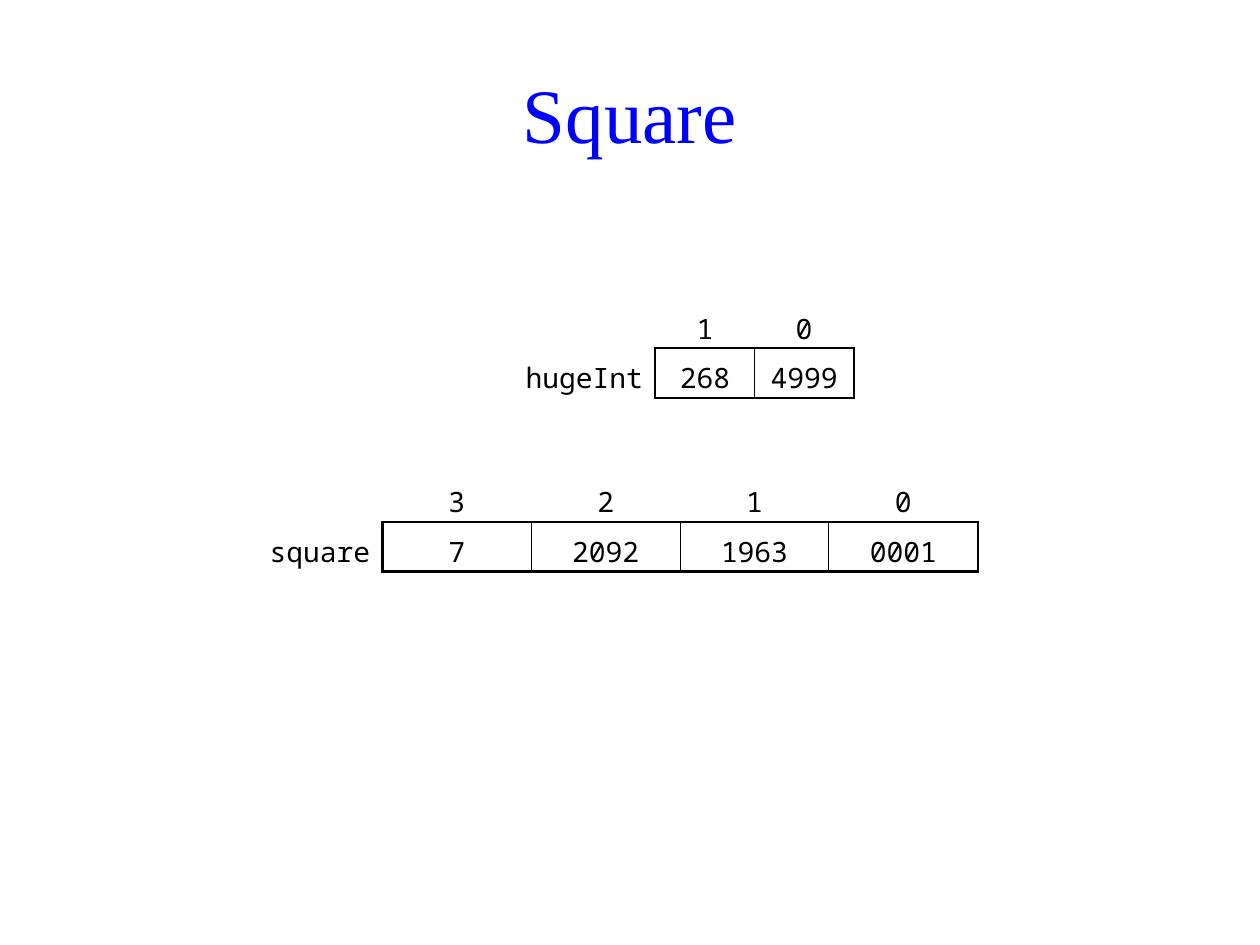
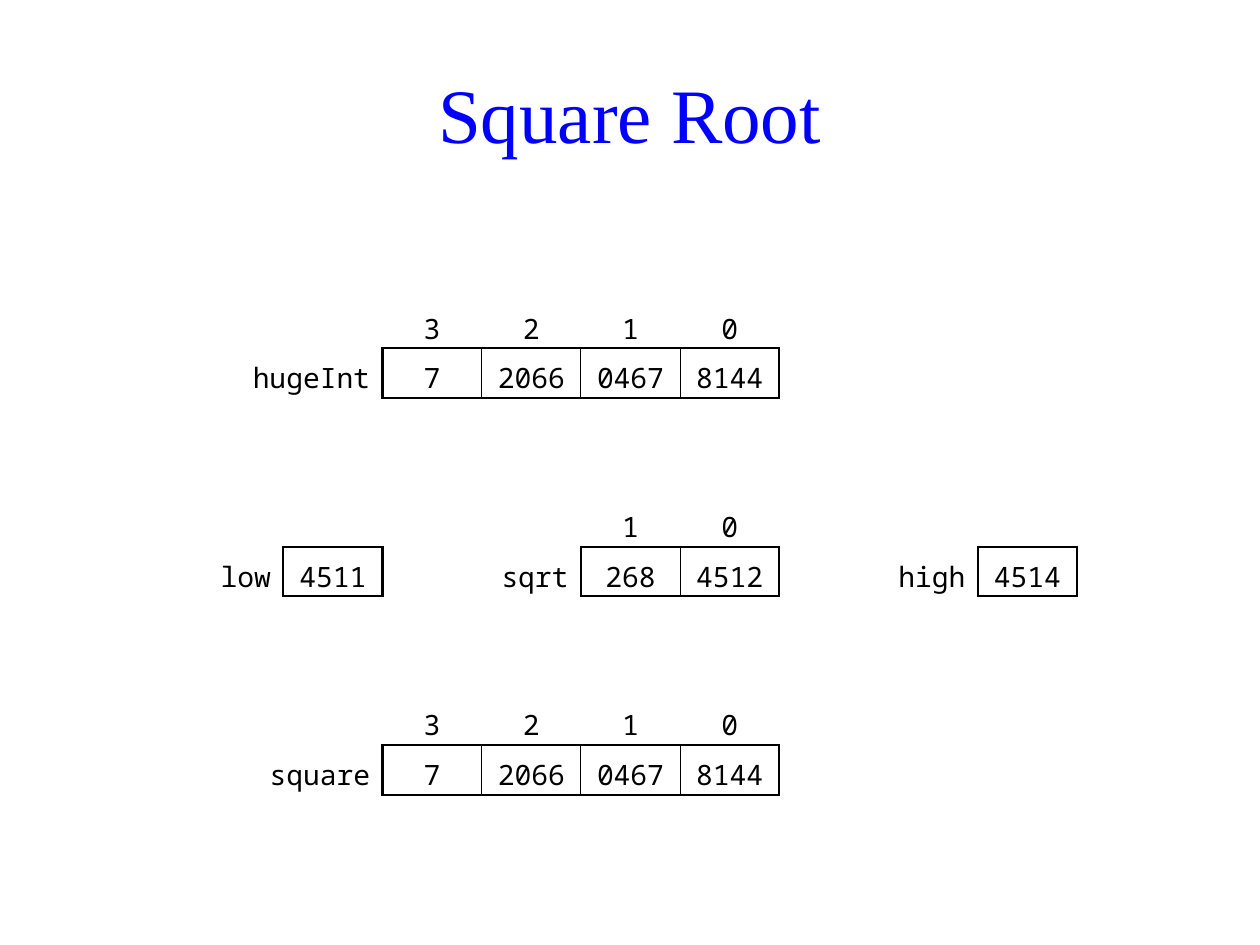
from lxml import etree
from pptx import Presentation
from pptx import util as u
from pptx.dml.color import RGBColor
from pptx.enum import text as t
from pptx.oxml import ns

PX = 3600
BLUE = RGBColor(0x00, 0x00, 0xFF)
BLACK = RGBColor(0x00, 0x00, 0x00)
TITLE_FONT = "Times New Roman"
CODE_FONT = "Noto Sans Mono"
NO_STYLE = "{2D5ABB26-0587-4C30-8999-92F81FD0307C}"

TITLE_BOX = (119, 102, 2301, 249)
ROW = 100
NARROW = 200
WIDE = 300
LABEL_GAP = 25
OUTER = 1.5
INNER = 0.75


def px(n):
    return u.Emu(n * PX)


def write(tf, text, font=CODE_FONT, size=16, color=BLACK,
          align=t.PP_ALIGN.CENTER, spacing=1.25):
    p = tf.paragraphs[0]
    p.alignment = align
    p.line_spacing = spacing
    r = p.add_run()
    r.text = text
    r.font.name = font
    r.font.size = u.Pt(size)
    r.font.color.rgb = color


def add_title(s, text, box=TITLE_BOX):
    tf = s.shapes.add_textbox(*map(px, box)).text_frame
    tf.word_wrap = True
    tf.vertical_anchor = t.MSO_ANCHOR.MIDDLE
    write(tf, text, font=TITLE_FONT, size=44, color=BLUE, spacing=1.0)


def set_borders(cell, **widths):
    tc_pr = cell._tc.get_or_add_tcPr()
    sides = [side for side in "LRTB" if side in widths]
    for i, side in enumerate(sides):
        ln = etree.Element(ns.qn(f"a:ln{side}"), w=str(u.Pt(widths[side])))
        fill = etree.SubElement(ln, ns.qn("a:solidFill"))
        etree.SubElement(fill, ns.qn("a:srgbClr"), val=str(BLACK))
        tc_pr.insert(i, ln)


def add_plain_table(s, x, y, rows, widths):
    frame = s.shapes.add_table(rows, len(widths), px(x), px(y),
                               px(sum(widths)), px(rows * ROW))
    table = frame.table
    table.first_row = table.horz_banding = False
    table._tbl.tblPr.find(ns.qn("a:tableStyleId")).text = NO_STYLE
    for column, width in zip(table.columns, widths):
        column.width = px(width)
    for cell in table.iter_cells():
        cell.fill.background()
        cell.vertical_anchor = t.MSO_ANCHOR.MIDDLE
        cell.margin_left = cell.margin_right = 0
        cell.margin_top = cell.margin_bottom = 0
    return table


def add_array(s, name, values, x, y, label=NARROW, width=NARROW, indexed=True):
    rows = 2 if indexed else 1
    table = add_plain_table(s, x, y, rows, [label] + [width] * len(values))
    label_cell = table.cell(rows - 1, 0)
    label_cell.margin_right = px(LABEL_GAP)
    write(label_cell.text_frame, name, align=t.PP_ALIGN.RIGHT)
    set_borders(label_cell, R=OUTER)
    last = len(values) - 1
    for i, value in enumerate(values):
        cell = table.cell(rows - 1, i + 1)
        write(cell.text_frame, value)
        set_borders(cell, T=OUTER, B=OUTER,
                    L=OUTER if i == 0 else INNER,
                    R=OUTER if i == last else INNER)
        if indexed:
            index_cell = table.cell(0, i + 1)
            write(index_cell.text_frame, str(last - i))
            set_borders(index_cell, B=OUTER)


def add_slide(prs, title):
    s = prs.slides.add_slide(prs.slide_layouts[6])
    add_title(s, title)
    return s


def square_slide(prs):
    s = add_slide(prs, "Square")
    add_array(s, "square", ["7", "2092", "1963", "0001"], 521, 952,
              label=250, width=WIDE)
    add_array(s, "hugeInt", ["268", "4999"], 1021, 602, label=WIDE)


def square_root_slide(prs):
    s = add_slide(prs, "Square Root")
    digits = ["7", "2066", "0467", "8144"]
    add_array(s, "hugeInt", digits, 471, 602, label=WIDE)
    add_array(s, "square", digits, 521, 1402, label=250)
    add_array(s, "sqrt", ["268", "4512"], 971, 1002)
    for name, value, x in (("low", "4511", 371), ("high", "4514", 1771)):
        add_array(s, name, [value], x, 1002 + ROW, indexed=False)


def main():
    prs = Presentation()
    prs.slide_width = px(2540)
    prs.slide_height = px(1905)
    square_slide(prs)
    square_root_slide(prs)
    prs.save("out.pptx")


if __name__ == "__main__":
    main()
